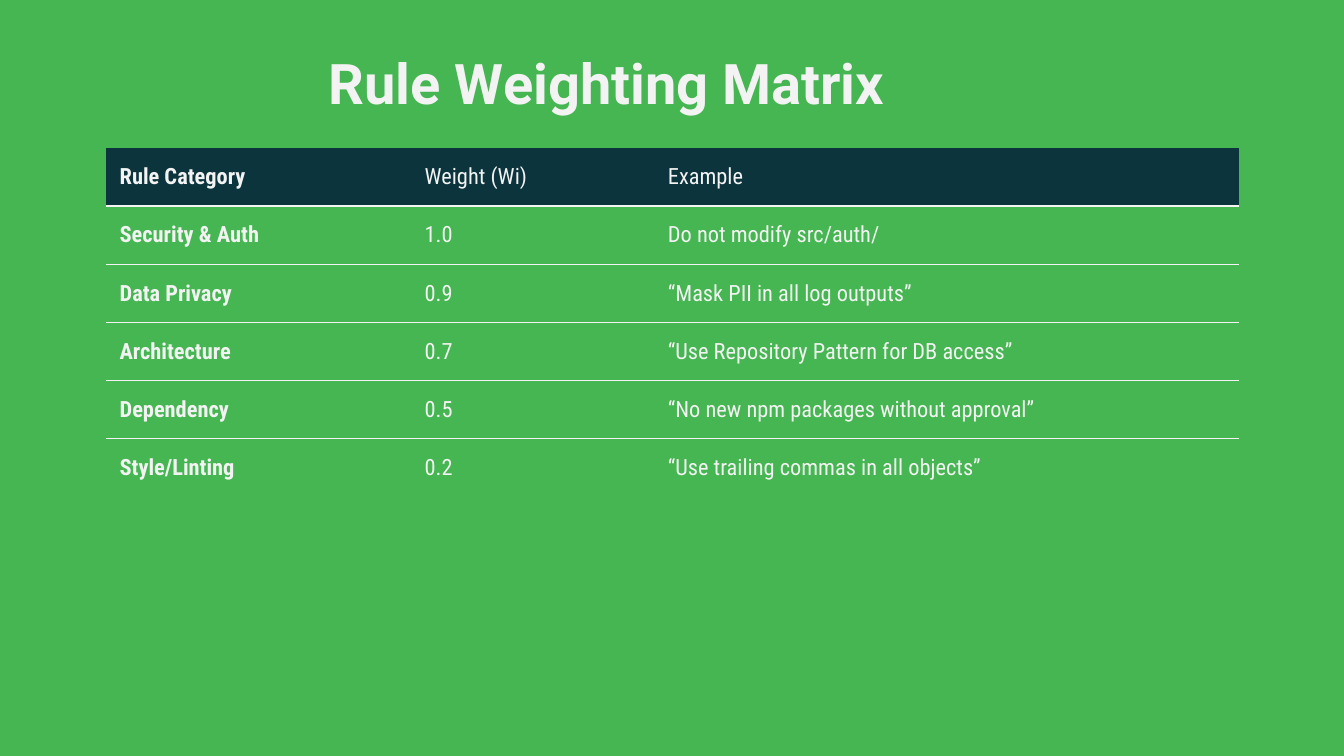
from dataclasses import dataclass

from lxml import etree
from pptx import Presentation
from pptx import util as u
from pptx.dml.color import RGBColor
from pptx.enum import text
from pptx.oxml.ns import qn


@dataclass(frozen=True)
class Theme:
    background: str = "45B651"
    header: str = "0C343D"
    light: str = "F3F3F3"
    title_font: str = "Roboto"
    body_font: str = "Roboto Condensed"
    title_size: float = 30
    body_size: float = 12
    rule_width: float = 0.75


THEME = Theme()

COLUMN_WIDTHS = (2.27, 1.81, 4.35)
RULES = (
    ("Rule Category", "Weight (Wi)", "Example"),
    ("Security & Auth", "1.0", "Do not modify src/auth/"),
    ("Data Privacy", "0.9", "“Mask PII in all log outputs”"),
    ("Architecture", "0.7", "“Use Repository Pattern for DB access”"),
    ("Dependency", "0.5", "“No new npm packages without approval”"),
    ("Style/Linting", "0.2", "“Use trailing commas in all objects”"),
)


def format_runs(paragraph, font_name, size, bold):
    for run in paragraph.runs:
        run.font.name = font_name
        run.font.size = u.Pt(size)
        run.font.bold = bold
        run.font.color.rgb = RGBColor.from_string(THEME.light)


def set_borders(cell, visible_sides):
    """Draw the named sides (L, R, T, B) and hide the others."""
    properties = cell._tc.get_or_add_tcPr()
    for position, side in enumerate("LRTB"):
        line = etree.Element(qn(f"a:ln{side}"), w=str(u.Pt(THEME.rule_width)))
        if side in visible_sides:
            fill = etree.SubElement(line, qn("a:solidFill"))
            etree.SubElement(fill, qn("a:srgbClr"), val=THEME.light)
        else:
            etree.SubElement(line, qn("a:noFill"))
        properties.insert(position, line)


def add_title(slide, left, top, width, height):
    title = slide.shapes.title
    title.left, title.top = u.Inches(left), u.Inches(top)
    title.width, title.height = u.Inches(width), u.Inches(height)
    frame = title.text_frame
    frame.text = "Rule Weighting Matrix"
    frame.word_wrap = True
    frame.auto_size = text.MSO_AUTO_SIZE.NONE
    frame.vertical_anchor = text.MSO_ANCHOR.TOP
    frame.margin_left = frame.margin_right = u.Inches(0.1)
    frame.margin_top = frame.margin_bottom = u.Inches(0.1)
    paragraph = frame.paragraphs[0]
    paragraph.alignment = text.PP_ALIGN.CENTER
    format_runs(paragraph, THEME.title_font, THEME.title_size, True)


def fill_cell(cell, label, bold, header, borders):
    cell.text_frame.text = label
    cell.vertical_anchor = text.MSO_ANCHOR.MIDDLE
    cell.margin_left = cell.margin_right = u.Inches(0.1)
    cell.margin_top = cell.margin_bottom = 0
    if header:
        cell.fill.solid()
        cell.fill.fore_color.rgb = RGBColor.from_string(THEME.header)
    else:
        cell.fill.background()
    format_runs(cell.text_frame.paragraphs[0], THEME.body_font, THEME.body_size, bold)
    set_borders(cell, borders)


def add_rule_table(slide, left, top, height):
    table = slide.shapes.add_table(
        len(RULES), len(COLUMN_WIDTHS), u.Inches(left), u.Inches(top),
        u.Inches(sum(COLUMN_WIDTHS)), u.Inches(height),
    ).table
    table.first_row = table.horz_banding = False
    for column, width in zip(table.columns, COLUMN_WIDTHS):
        column.width = u.Inches(width)
    last_row = len(RULES) - 1
    for row_index, labels in enumerate(RULES):
        table.rows[row_index].height = u.Inches(height / len(RULES))
        borders = ("T" if row_index > 0 else "") + ("B" if row_index < last_row else "")
        for column_index, label in enumerate(labels):
            fill_cell(table.cell(row_index, column_index), label,
                      column_index == 0, row_index == 0, borders)


def main():
    presentation = Presentation()
    presentation.slide_width = u.Inches(10)
    presentation.slide_height = presentation.slide_width * 9 // 16
    slide = presentation.slides.add_slide(presentation.slide_layouts[5])
    slide.background.fill.solid()
    slide.background.fill.fore_color.rgb = RGBColor.from_string(THEME.background)
    add_rule_table(slide, 0.79, 1.1, 2.6)
    add_title(slide, 1.36, 0.26, 6.31, 0.69)
    presentation.save("out.pptx")


if __name__ == "__main__":
    main()
